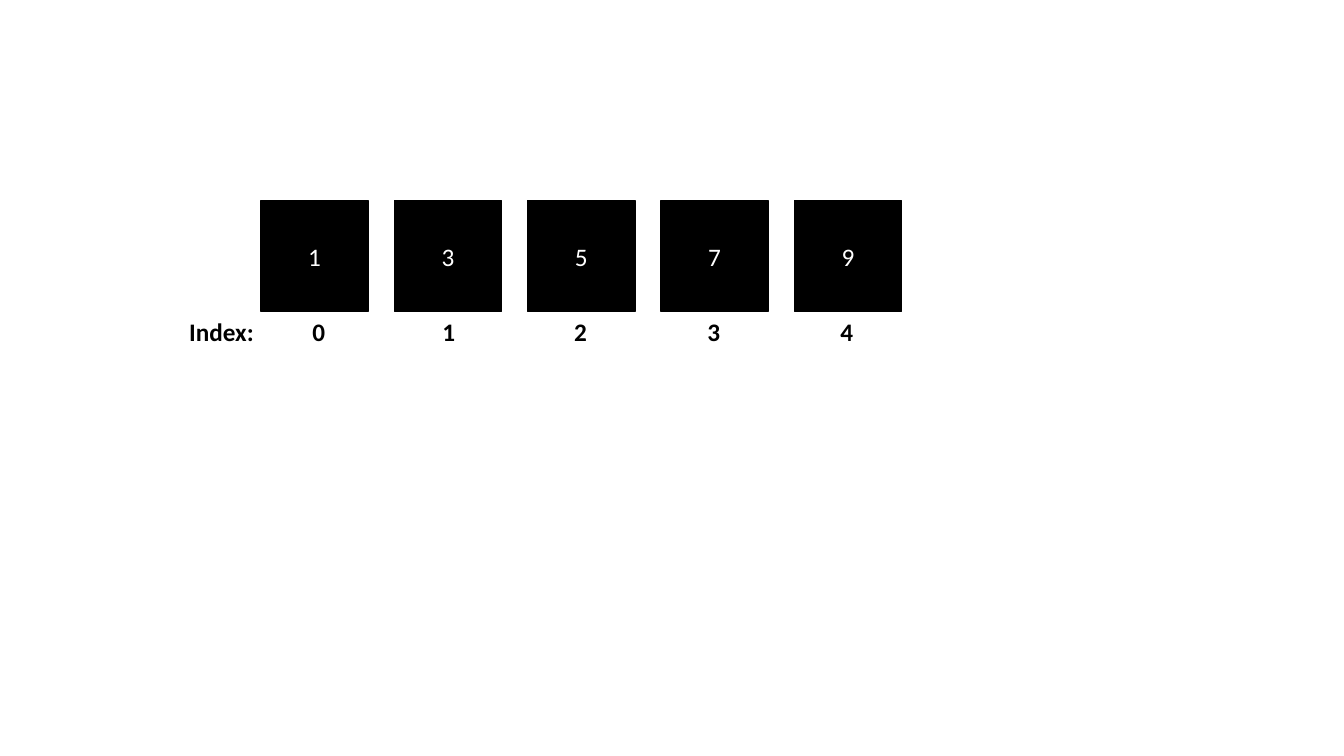
from dataclasses import dataclass

from pptx import Presentation
from pptx.dml.color import RGBColor
from pptx.enum.shapes import MSO_SHAPE
from pptx.enum.text import MSO_ANCHOR, MSO_AUTO_SIZE, PP_ALIGN
from pptx.util import Cm, Pt

RECT = MSO_SHAPE.RECTANGLE
MIDDLE = MSO_ANCHOR.MIDDLE
CENTER = PP_ALIGN.CENTER
FIT_SHAPE = MSO_AUTO_SIZE.SHAPE_TO_FIT_TEXT


@dataclass(frozen=True)
class Theme:
    """Colours, font and sizes of the slide."""
    dark: RGBColor = RGBColor(0, 0, 0)
    light: RGBColor = RGBColor(255, 255, 255)
    font: str = "Calibri"
    size: Pt = Pt(18)
    line: Pt = Pt(1)


class Canvas:
    """Draws styled elements on one slide."""

    def __init__(self, s, theme):
        """Keep the slide and its theme."""
        self.s, self.theme = s, theme

    def add_text(self, tf, text, color, **formats):
        """Put one formatted run in a text frame and return its paragraph."""
        p = tf.paragraphs[0]
        r = p.add_run()
        r.text = text
        formats = {"name": self.theme.font, "size": self.theme.size, **formats}
        for key, value in formats.items():
            setattr(r.font, key, value)
        r.font.color.rgb = color
        return p

    def cell(self, text, x, y, w, h):
        """Add a filled array cell with a centred value."""
        sp = self.s.shapes.add_shape(RECT, Cm(x), Cm(y), Cm(w), Cm(h))
        sp.shadow.inherit = False
        sp.fill.solid()
        sp.fill.fore_color.rgb = sp.line.color.rgb = self.theme.dark
        sp.line.width = self.theme.line
        tf = sp.text_frame
        tf.vertical_anchor = MIDDLE
        self.add_text(tf, text, self.theme.light).alignment = CENTER

    def label(self, text, x, y, w, h):
        """Add a bold label that does not wrap."""
        tf = self.s.shapes.add_textbox(Cm(x), Cm(y), Cm(w), Cm(h)).text_frame
        for key, value in {"word_wrap": False, "auto_size": FIT_SHAPE}.items():
            setattr(tf, key, value)
        self.add_text(tf, text, self.theme.dark, bold=True)


VALUES = (1, 3, 5, 7, 9)
INDEX_LEFTS = (7.62, 10.9, 14.22, 17.58, 20.93)
CELL_LEFT, CELL_TOP, CELL_W, CELL_H, PITCH = 6.58, 5.05, 2.7, 2.8, 3.36
LABEL_TOP, LABEL_H = 7.84, 1.02


def main():
    """Build the array diagram and save it."""
    prs = Presentation()
    prs.slide_width, prs.slide_height = Cm(33.87), Cm(19.05)
    canvas = Canvas(prs.slides.add_slide(prs.slide_layouts[6]), Theme())
    for i, value in enumerate(VALUES):
        canvas.cell(str(value), CELL_LEFT + i * PITCH, CELL_TOP, CELL_W, CELL_H)
    canvas.label("Index: ", 4.52, LABEL_TOP, 2.29, LABEL_H)
    for i, left in enumerate(INDEX_LEFTS):
        canvas.label(str(i), left, LABEL_TOP, 0.84, LABEL_H)
    prs.save("out.pptx")


main()
